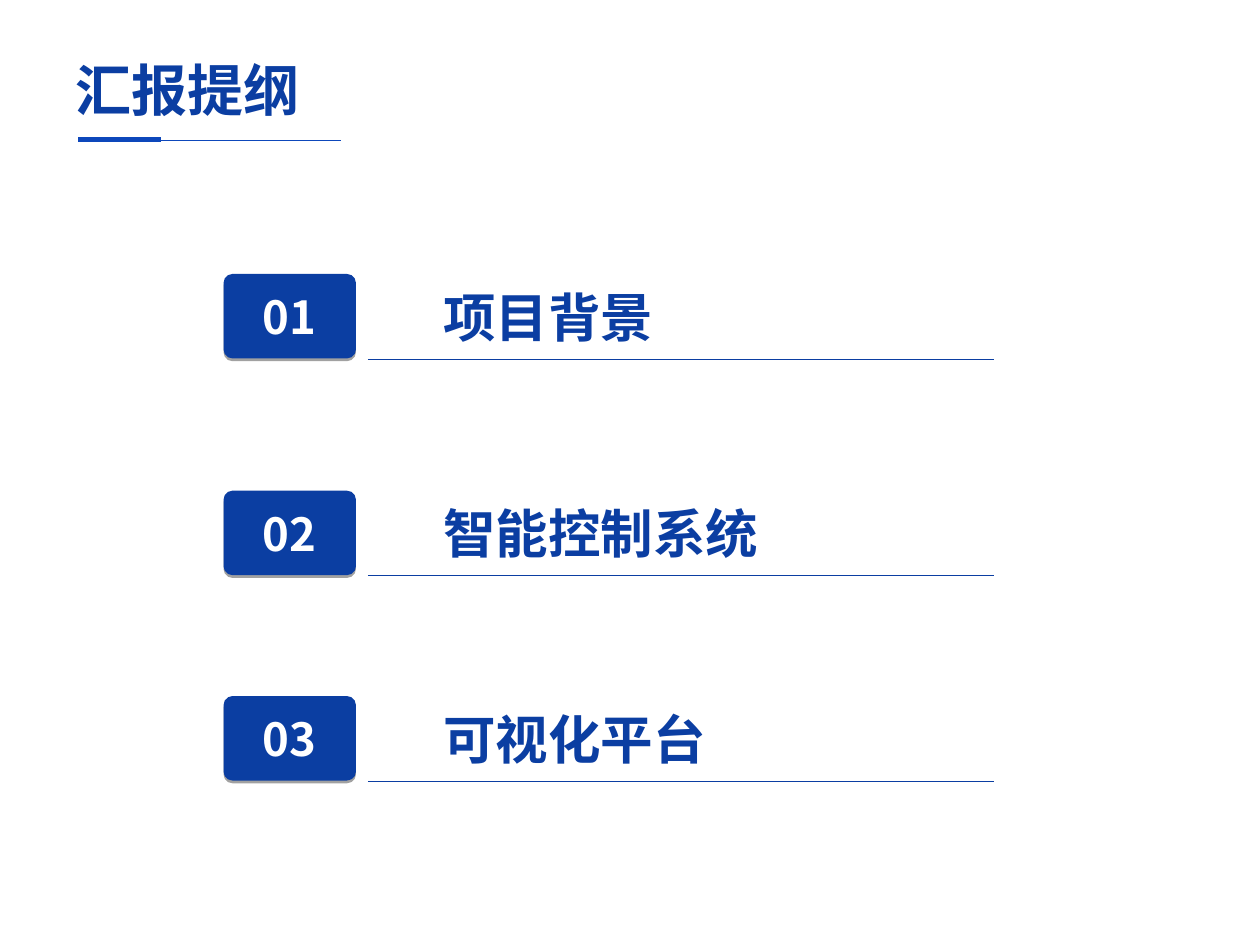
from lxml import etree
from pptx import Presentation, util as u
from pptx.dml.color import RGBColor
from pptx.enum import shapes, text
from pptx.oxml import parse_xml
from pptx.oxml.ns import nsdecls, qn

# Content: number, topic, top of the row in inches
TITLE = "汇报提纲"
TOPICS = [("01", "项目背景", 2.18), ("02", "智能控制系统", 3.9), ("03", "可视化平台", 5.53)]

BLUE, BRIGHT, WHITE = "0B3EA2", "0D47BB", "FFFFFF"
CJK, LATIN = "Noto Sans CJK SC", "Calibri"

# Columns: number badge, topic text, rule under the topic
BADGE_LEFT, BADGE_WIDTH, BADGE_HEIGHT = 1.78, 1.04, 0.66
TEXT_LEFT, TEXT_WIDTH, TEXT_HEIGHT = 3.42, 4.4, 0.61
RULE_LEFT, RULE_RIGHT, RULE_DROP = 2.92, 7.89, 0.67

SHADOW = f"""<a:effectLst {nsdecls("a")}>
  <a:outerShdw blurRad="0" dist="{u.Pt(1.6)}" dir="5400000" algn="t" rotWithShape="0">
    <a:srgbClr val="000000"><a:alpha val="37000"/></a:srgbClr>
  </a:outerShdw>
</a:effectLst>"""


def color(value):
    return RGBColor.from_string(value)


def box(left, top, width, height):
    return [u.Inches(value) for value in (left, top, width, height)]


def write(shape, words, size, font_name, font_color, align, anchor):
    frame = shape.text_frame
    frame.word_wrap = True
    frame.auto_size = text.MSO_AUTO_SIZE.NONE
    frame.vertical_anchor = anchor
    frame.text = words
    paragraph = frame.paragraphs[0]
    paragraph.alignment = align
    font = paragraph.font
    font.size, font.bold, font.name = u.Pt(size), True, font_name
    font.color.rgb = color(font_color)
    properties = paragraph._p.pPr.find(qn("a:defRPr"))
    etree.SubElement(properties, qn("a:ea")).set("typeface", CJK)


def add_rule(slide, left, right, top, line_color, width):
    rule = slide.shapes.add_connector(
        shapes.MSO_CONNECTOR.STRAIGHT, *box(left, top, right, top))
    rule.line.color.rgb = color(line_color)
    rule.line.width = u.Pt(width)
    etree.SubElement(rule._element.spPr, qn("a:effectLst"))


def add_topic(slide, number, topic, top):
    # Number badge
    badge = slide.shapes.add_shape(
        shapes.MSO_SHAPE.ROUNDED_RECTANGLE,
        *box(BADGE_LEFT, top, BADGE_WIDTH, BADGE_HEIGHT))
    badge.adjustments[0] = 0.1
    badge.fill.solid()
    badge.fill.fore_color.rgb = color(BLUE)
    badge.line.color.rgb = color(BLUE)
    badge.line.width = u.Pt(0.75)
    badge._element.spPr.append(parse_xml(SHADOW))
    write(badge, number, 26, CJK, WHITE, text.PP_ALIGN.CENTER, text.MSO_ANCHOR.MIDDLE)

    # Topic and the rule under it
    label = slide.shapes.add_textbox(*box(TEXT_LEFT, top + 0.03, TEXT_WIDTH, TEXT_HEIGHT))
    write(label, topic, 30, LATIN, BLUE, text.PP_ALIGN.LEFT, text.MSO_ANCHOR.TOP)
    add_rule(slide, RULE_LEFT, RULE_RIGHT, top + RULE_DROP, BLUE, 0.5)


def main():
    presentation = Presentation()
    presentation.slide_width, presentation.slide_height = u.Inches(10), u.Inches(7.5)
    slide = presentation.slides.add_slide(presentation.slide_layouts[5])

    # Title with its two-weight underline
    title = slide.shapes.title
    title.left, title.top, title.width, title.height = box(0.5, 0.39, 3.69, 0.66)
    write(title, TITLE, 32, CJK, BLUE, text.PP_ALIGN.LEFT, text.MSO_ANCHOR.TOP)
    add_rule(slide, 0.62, 1.28, 1.11, BRIGHT, 3)
    add_rule(slide, 1.15, 2.71, 1.11, BRIGHT, 0.25)

    for number, topic, top in TOPICS:
        add_topic(slide, number, topic, top)

    presentation.save("out.pptx")


if __name__ == "__main__":
    main()
